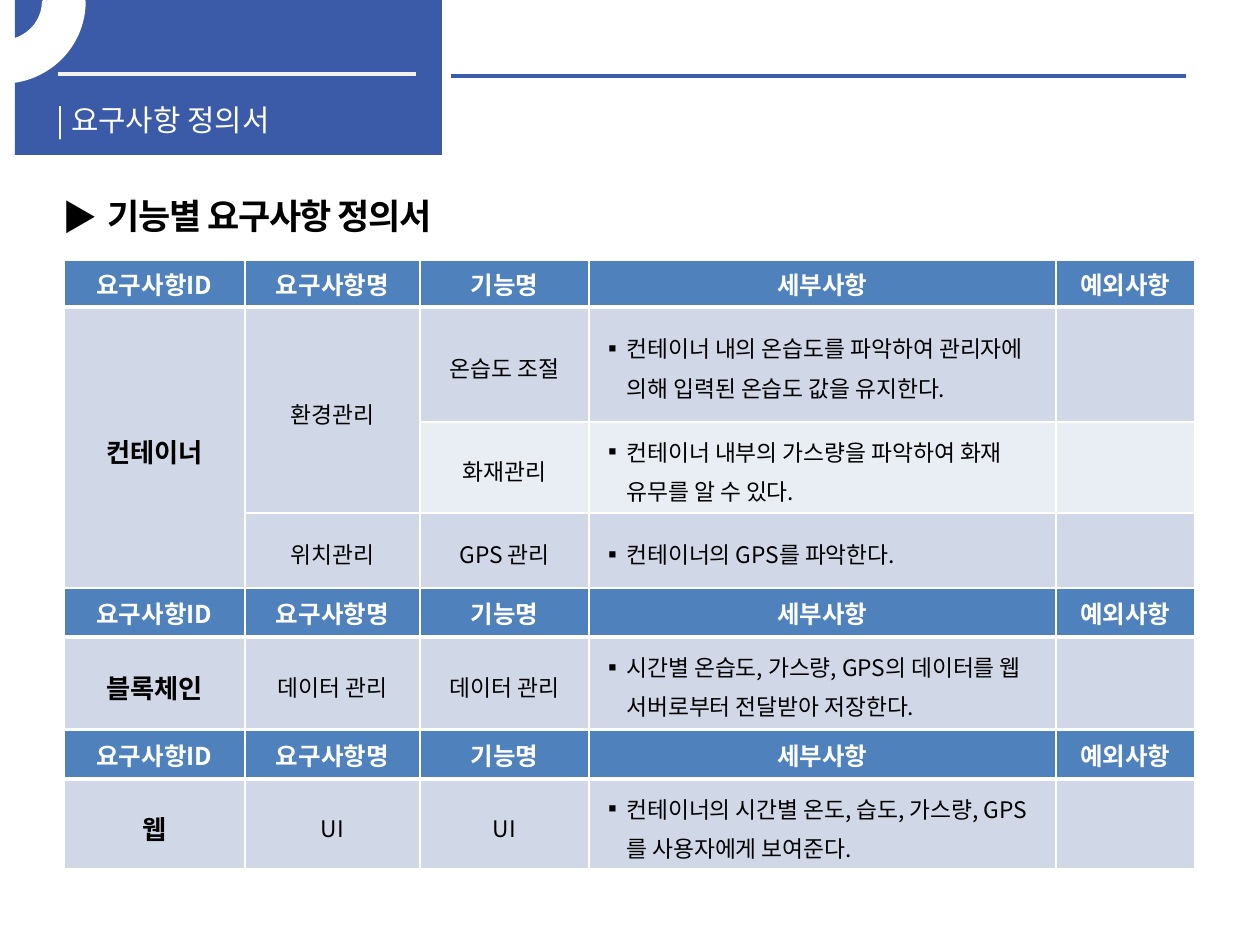
import pptx
import pptx.dml.color
import pptx.enum.shapes
import pptx.enum.text
import pptx.oxml
import pptx.oxml.ns
import pptx.util
from lxml import etree

SCALE = 914400 // 126  # EMU in one px
THEME = {
    "font": "Noto Sans CJK KR",
    "blue": "3B5AA8", "rule": "F2F2F2", "white": "FFFFFF", "black": "000000",
    "header": "4F81BD", "dark_band": "D0D8E8", "light_band": "E9EDF4",
    "title": 17, "heading": 20, "column": 14, "group": 15, "body": 13,
}
SHAPES = pptx.enum.shapes.MSO_SHAPE
CENTER = pptx.enum.text.PP_ALIGN.CENTER
MIDDLE = pptx.enum.text.MSO_ANCHOR.MIDDLE
qn = pptx.oxml.ns.qn


def color(name):
    return pptx.dml.color.RGBColor.from_string(THEME[name])


def write(para, text, size, ink, bold=False, bullet=None, indent=0):
    para.text = text
    if bullet:
        props = para._p.get_or_add_pPr()
        props.set("marL", str(indent * SCALE))
        props.set("indent", str(-indent * SCALE))
        etree.SubElement(props, qn("a:buFont"), typeface=THEME["font"])
        etree.SubElement(props, qn("a:buChar"), char=bullet)
    font = para.font
    font.name = THEME["font"]
    font.size = pptx.util.Pt(THEME[size])
    font.bold = bold
    font.color.rgb = color(ink)
    etree.SubElement(font._element, qn("a:ea"), typeface=THEME["font"])


deck = pptx.Presentation()
deck.slide_width = pptx.util.Inches(10)
deck.slide_height = pptx.util.Inches(7.5)
page = deck.slides.add_slide(deck.slide_layouts[6])

# Title panel
panel = page.shapes.add_shape(SHAPES.RECTANGLE, 15 * SCALE, 0, 427 * SCALE, 155 * SCALE)
panel.shadow.inherit = False
panel.fill.solid()
panel.fill.fore_color.rgb = color("blue")
panel.line.fill.background()

# Rules beside and inside the panel
for left, right, top, ink in [(58, 416, 74, "rule"), (451, 1186, 76, "blue")]:
    rule = page.shapes.add_connector(
        pptx.enum.shapes.MSO_CONNECTOR.STRAIGHT,
        left * SCALE, top * SCALE, right * SCALE, top * SCALE)
    rule.line.color.rgb = color(ink)
    rule.line.width = pptx.util.Pt(2.25)
    etree.SubElement(rule._element.spPr, qn("a:effectLst"))

# Ring in the corner
ring = page.shapes.add_shape(
    SHAPES.BLOCK_ARC, -79 * SCALE, -79 * SCALE, 163 * SCALE, 161 * SCALE)
ring.shadow.inherit = False
ring.adjustments[0] = 161.587 * 0.6  # degrees in 1/60000, over 100000
ring.adjustments[1] = 0
ring.adjustments[2] = 0.25
ring._element.spPr.xfrm.set("flipV", "1")
ring.fill.solid()
ring.fill.fore_color.rgb = color("white")
ring.line.color.rgb = color("white")
ring.line.width = pptx.util.Pt(2)

# Title and heading
for place, text, size, ink, bold, bullet in [
    ((44, 96, 407, 38), "| 요구사항 정의서", "title", "white", False, None),
    ((50, 188, 798, 55), " 기능별 요구사항 정의서", "heading", "black", True, "▶"),
]:
    box = page.shapes.add_textbox(*[length * SCALE for length in place])
    box.text_frame.word_wrap = True
    para = box.text_frame.paragraphs[0]
    write(para, text, size, ink, bold, bullet, 39)
    if bullet:
        para.font._element.set("spc", "-80")

# Requirement tables: top, row heights, merged cells, body rows
COLUMN_WIDTHS = [181, 175, 169, 467, 139]
COLUMN_NAMES = ["요구사항ID", "요구사항명", "기능명", "세부사항", "예외사항"]
TABLES = [
    (260, [47, 115, 91, 75], [((1, 0), (3, 0)), ((1, 1), (2, 1))], [
        ["컨테이너", "환경관리", "온습도 조절",
         "컨테이너 내의 온습도를 파악하여 관리자에 의해 입력된 온습도 값을 유지한다.", ""],
        ["", "", "화재관리",
         "컨테이너 내부의 가스량을 파악하여 화재 유무를 알 수 있다.", ""],
        ["", "위치관리", "GPS 관리", "컨테이너의 GPS를 파악한다.", ""],
    ]),
    (588, [49, 92], [], [
        ["블록체인", "데이터 관리", "데이터 관리",
         "시간별 온습도, 가스량, GPS의 데이터를 웹 서버로부터 전달받아 저장한다.", ""],
    ]),
    (730, [49, 90], [], [
        ["웹", "UI", "UI",
         "컨테이너의 시간별 온도, 습도, 가스량, GPS를 사용자에게 보여준다.", ""],
    ]),
]
for top, heights, merges, body in TABLES:
    table = page.shapes.add_table(
        len(heights), len(COLUMN_WIDTHS), 64 * SCALE, top * SCALE,
        sum(COLUMN_WIDTHS) * SCALE, sum(heights) * SCALE).table
    table.horz_banding = False
    for column, width in zip(table.columns, COLUMN_WIDTHS):
        column.width = width * SCALE
    for row, height in zip(table.rows, heights):
        row.height = height * SCALE
    for first, last in merges:
        table.cell(*first).merge(table.cell(*last))

    for row_index, texts in enumerate([COLUMN_NAMES] + body):
        for column_index, text in enumerate(texts):
            cell = table.cell(row_index, column_index)
            cell.vertical_anchor = MIDDLE

            # White borders, thick under the header
            for side in ("L", "R", "T", "B"):
                thick = (row_index, side) in [(0, "B"), (1, "T")]
                border = etree.SubElement(
                    cell._tc.get_or_add_tcPr(), qn("a:ln" + side),
                    w=str(pptx.util.Pt(3 if thick else 1)))
                paint = etree.SubElement(border, qn("a:solidFill"))
                etree.SubElement(paint, qn("a:srgbClr"), val=THEME["white"])

            light = row_index == 2 and column_index >= 2
            band = "light_band" if light else "dark_band"
            cell.fill.solid()
            cell.fill.fore_color.rgb = color(band if row_index else "header")

            if not text:
                continue
            para = cell.text_frame.paragraphs[0]
            if row_index:
                para.line_spacing = 1.2
            if row_index and column_index == 3:
                write(para, text, "body", "black", bullet="▪", indent=25)
                continue
            para.alignment = CENTER
            if row_index == 0:
                write(para, text, "column", "white", bold=True)
            elif column_index == 0:
                write(para, text, "group", "black", bold=True)
            else:
                write(para, text, "body", "black")

deck.save("out.pptx")
